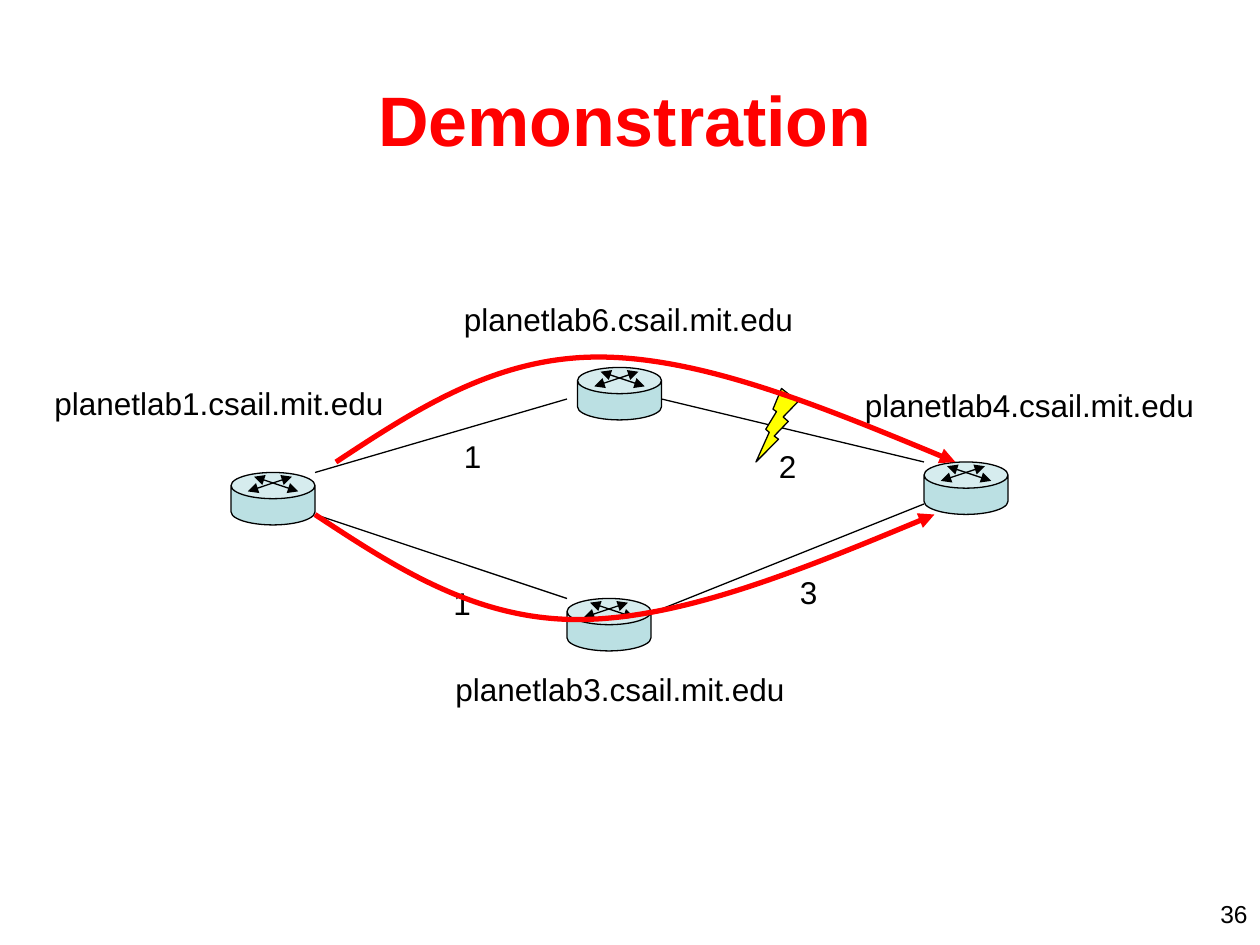
import lxml.etree
import pptx
import pptx.dml.color
import pptx.enum.shapes
import pptx.enum.text
import pptx.oxml.ns
import pptx.util

PX = 7620
COLORS = {"ink": "000000", "accent": "FF0000", "router": "BBE0E3", "bolt": "FFFF00"}
SHAPES = pptx.enum.shapes.MSO_SHAPE
ALIGN = pptx.enum.text.PP_ALIGN
ANCHOR = pptx.enum.text.MSO_ANCHOR
AUTO_SIZE = pptx.enum.text.MSO_AUTO_SIZE

ROUTERS = [(220, 450), (550, 350), (540, 570), (880, 440)]
LINKS = [
    ((300, 450), (540, 380)),
    ((630, 380), (880, 440)),
    ((300, 490), (540, 570)),
    ((630, 580), (880, 480)),
]
HOSTS = [(1, 40, 360), (3, 422, 632), (6, 430, 280), (4, 812, 362)]
COSTS = [("1", 430, 410), ("2", 730, 420), ("1", 420, 550), ("3", 750, 540)]
CURVE_OFFSETS = [(0, 0), (76, 50), (152, 100), (250, 100), (348, 100), (470, 50), (590, 0)]


def emu(*lengths):
    """Turn px lengths into EMU."""
    return [pptx.util.Emu(length * PX) for length in lengths]


def rgb(name):
    """Return the named colour."""
    return pptx.dml.color.RGBColor.from_string(COLORS[name])


def style_line(line, color="ink", width=0.75):
    """Set the colour and width of a line."""
    line.color.rgb = rgb(color)
    line.width = pptx.util.Pt(width)


def add_arrowheads(line_element, *ends):
    """Put a triangle on each named end of a line."""
    for end in ends:
        head = lxml.etree.SubElement(line_element, pptx.oxml.ns.qn(f"a:{end}"))
        head.set("type", "triangle")


def fill_text(shape, text, size=18, color="ink", bold=False, align=ALIGN.LEFT):
    """Write one formatted paragraph into a shape."""
    paragraph = shape.text_frame.paragraphs[0]
    paragraph.alignment = align
    run = paragraph.add_run()
    run.text = text
    run.font.color.rgb = rgb(color)
    formats = {"name": "Arial", "size": pptx.util.Pt(size), "bold": bold}
    for attribute, value in formats.items():
        setattr(run.font, attribute, value)


def add_title(slide, box):
    """Place the slide title."""
    title = slide.shapes.title
    for attribute, value in zip(("left", "top", "width", "height"), emu(*box)):
        setattr(title, attribute, value)
    title.text_frame.vertical_anchor = ANCHOR.MIDDLE
    fill_text(title, "Demonstration", 40, "accent", True, ALIGN.CENTER)


def add_label(slide, box, text):
    """Add a one-line label that grows with its text."""
    shape = slide.shapes.add_textbox(*emu(*box))
    shape.text_frame.word_wrap = False
    shape.text_frame.auto_size = AUTO_SIZE.SHAPE_TO_FIT_TEXT
    fill_text(shape, text)


def add_page_number(slide, box):
    """Add the page number at the right of its box."""
    shape = slide.shapes.add_textbox(*emu(*box))
    shape.text_frame.word_wrap = True
    fill_text(shape, "36", size=14, align=ALIGN.RIGHT)


def add_line(shapes, start, end):
    """Add a thin straight line and return it."""
    line = shapes.add_connector(
        pptx.enum.shapes.MSO_CONNECTOR.STRAIGHT, *emu(*start, *end))
    style_line(line.line)
    lxml.etree.SubElement(line._element.spPr, pptx.oxml.ns.qn("a:effectLst"))
    return line


def add_solid(shapes, kind, box, color):
    """Add an outlined preset shape and return it."""
    shape = shapes.add_shape(kind, *emu(*box))
    shape.shadow.inherit = False
    shape.fill.solid()
    shape.fill.fore_color.rgb = rgb(color)
    style_line(shape.line)
    return shape


def add_router(slide, left, top):
    """Add a router with crossed arrows on its lid."""
    shapes = slide.shapes.add_group_shape().shapes
    body = add_solid(shapes, SHAPES.CAN, (left, top, 80, 50), "router")
    body.adjustments[0] = 0.5
    for start, end in ((16, 58), (64, 22)):
        arrow = add_line(shapes, (left + start, top + 18), (left + end, top + 4))
        add_arrowheads(arrow.line._get_or_add_ln(), "headEnd", "tailEnd")


def add_bolt(slide, box):
    """Add the mirrored lightning bolt that marks the failed link."""
    bolt = add_solid(slide.shapes, SHAPES.LIGHTNING_BOLT, box, "bolt")
    bolt._element.spPr.find(pptx.oxml.ns.qn("a:xfrm")).set("flipH", "1")


def add_route(slide, left, top, direction):
    """Add a curved route that bulges up (-1) or down (1)."""
    points = [(left + x, top + direction * y) for x, y in CURVE_OFFSETS]
    builder = slide.shapes.build_freeform(*points[0], scale=PX)
    builder.add_line_segments(points[1:], close=False)
    route = builder.convert_to_shape()
    segments = list(route._element.iter(pptx.oxml.ns.qn("a:lnTo")))
    for index in range(0, len(segments), 3):
        group = segments[index:index + 3]
        curve = lxml.etree.SubElement(
            group[0].getparent(), pptx.oxml.ns.qn("a:cubicBezTo"))
        for segment in group:
            curve.append(segment[0])
            segment.getparent().remove(segment)
    route.shadow.inherit = False
    route.fill.background()
    style_line(route.line, "accent", 3)
    add_arrowheads(route.line._get_or_add_ln(), "tailEnd")


def add_network(slide):
    """Draw the routers, links, labels and routes."""
    for router in ROUTERS:
        add_router(slide, *router)
    for start, end in LINKS:
        add_line(slide.shapes, start, end)
    for number, left, top in HOSTS:
        add_label(slide, (left, top, 338, 48), f"planetlab{number}.csail.mit.edu")
    add_bolt(slide, (720, 370, 40, 70))
    for cost, left, top in COSTS:
        add_label(slide, (left, top, 41, 48), cost)
    add_route(slide, 320, 440, -1)
    add_route(slide, 300, 490, 1)


def main():
    """Build and save the slide."""
    presentation = pptx.Presentation()
    presentation.slide_width, presentation.slide_height = emu(1200, 900)
    slide = presentation.slides.add_slide(presentation.slide_layouts[5])
    add_title(slide, (20, 38, 1150, 150))
    add_network(slide)
    add_page_number(slide, (920, 850, 280, 41))
    presentation.save("out.pptx")


if __name__ == "__main__":
    main()
